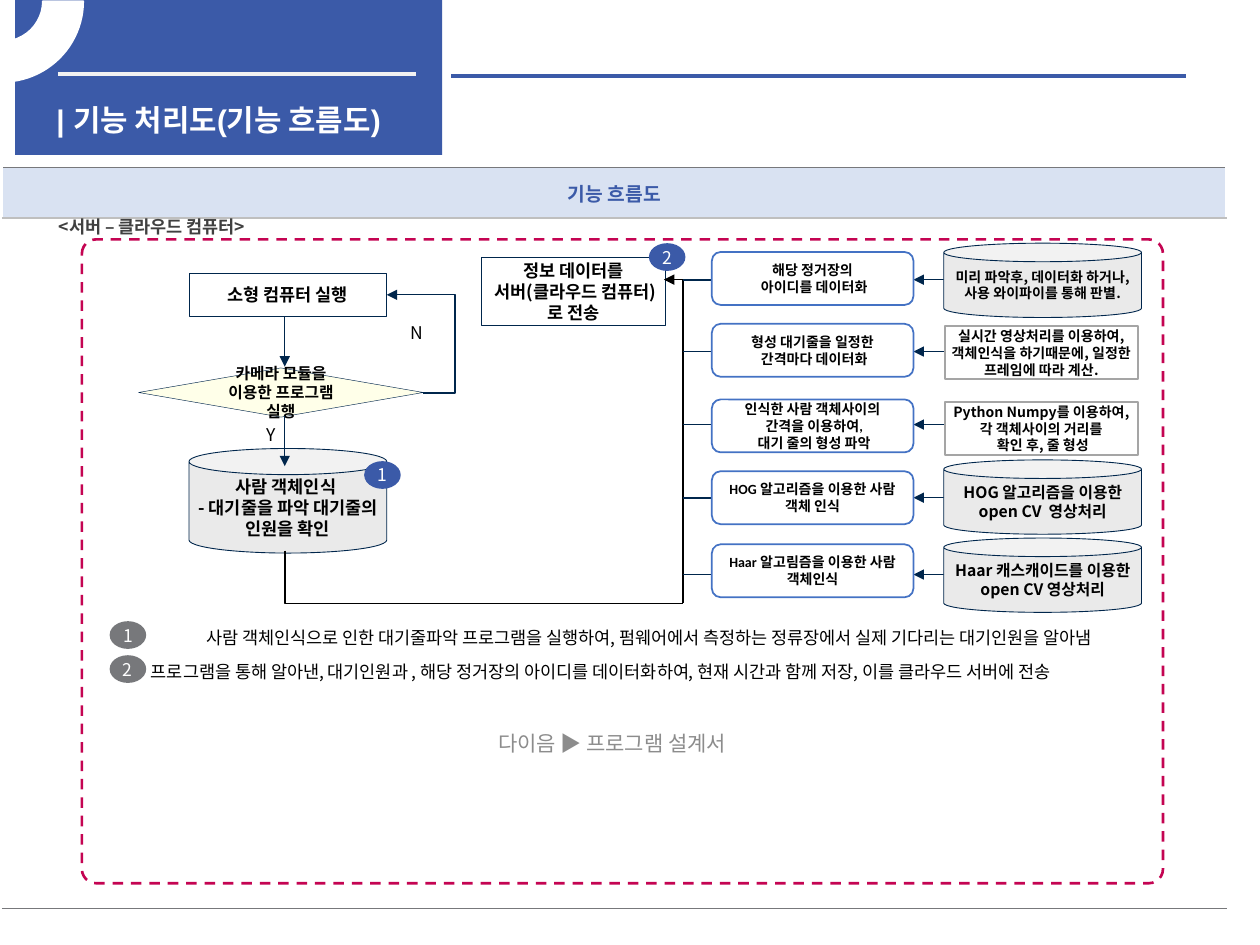
from pptx import Presentation
from pptx.dml.color import RGBColor
from pptx.enum.dml import MSO_LINE
from pptx.enum.shapes import MSO_CONNECTOR as Connector, MSO_SHAPE as Shape
from pptx.enum.text import MSO_ANCHOR as Anchor, PP_ALIGN as Align
from pptx.oxml import parse_xml
from pptx.oxml.ns import nsdecls, qn
from pptx.util import Inches, Pt

NOTO = "Noto Sans CJK KR"
BLUE, NAVY, GRAY = "3B5AA8", "00264C", "77787B"
SMALL = 0.04


def color(value):
    return RGBColor.from_string(value)


def element(tag, attributes="", content=""):
    return parse_xml(f'<a:{tag} {nsdecls("a")} {attributes}>{content}</a:{tag}>')


def write(frame, lines, size, font=NOTO, ink="000000", bold=False, align=Align.CENTER,
          anchor=Anchor.MIDDLE, inset=None, wrap=True, **paragraph_format):
    frame.word_wrap = wrap
    frame.vertical_anchor = anchor
    if inset is not None:
        for side in ("left", "top", "right", "bottom"):
            setattr(frame, f"margin_{side}", Inches(inset))
    for index, line in enumerate(lines):
        paragraph = frame.add_paragraph() if index else frame.paragraphs[0]
        for name, value in {"alignment": align, **paragraph_format}.items():
            setattr(paragraph, name, value)
        run = paragraph.add_run()
        run.text = line
        for name, value in {"name": font, "size": Pt(size), "bold": bold}.items():
            setattr(run.font, name, value)
        run.font.color.rgb = color(ink)
        run.font._element.append(element("ea", f'typeface="{NOTO}"'))


def add_text(slide, box, lines, size, **text_format):
    write(slide.shapes.add_textbox(*map(Inches, box)).text_frame, lines, size, **text_format)


def add_box(slide, kind, box, fill=None, line=None, width=0.5, adjust=()):
    shape = slide.shapes.add_shape(kind, *map(Inches, box))
    shape.shadow.inherit = False
    if fill:
        shape.fill.solid()
        shape.fill.fore_color.rgb = color(fill)
    else:
        shape.fill.background()
    if line:
        shape.line.color.rgb = color(line)
        shape.line.width = Pt(width)
    else:
        shape.line.fill.background()
    for index, value in enumerate(adjust):
        shape.adjustments[index] = value
    return shape


def add_line(slide, start, end, line=NAVY, width=1, arrow=False, bend=None):
    """Arrow marks the end; bend is the elbow's place as a share of the width."""
    kind = Connector.STRAIGHT if bend is None else Connector.ELBOW
    connector = slide.shapes.add_connector(kind, *map(Inches, (*start, *end)))
    connector.line.color.rgb = color(line)
    connector.line.width = Pt(width)
    properties = connector._element.spPr
    if arrow:
        properties.find(qn("a:ln")).append(element("tailEnd", 'type="triangle"'))
    properties.append(element("effectLst"))
    if bend is not None:
        guides = properties.find(qn("a:prstGeom")).get_or_add_avLst()
        guides.append(element("gd", f'name="adj1" fmla="val {round(bend * 100000)}"'))


def add_badge(slide, left, top, number, fill=BLUE, align=Align.CENTER):
    shape = add_box(slide, Shape.OVAL, (left, top, 0.29, 0.22), fill)
    write(shape.text_frame, [number], 10, ink="FFFFFF", align=align, inset=0.06, wrap=False)


def add_header(slide, left, top):
    add_box(slide, Shape.RECTANGLE, (left, top, 3.39, 1.23), BLUE)
    add_line(slide, (left + 0.34, top + 0.59), (left + 3.18, top + 0.59), "F2F2F2", 2.25)
    add_line(slide, (left + 3.46, top + 0.6), (left + 9.29, top + 0.6), BLUE, 2.25)
    add_text(slide, (left + 0.23, top + 0.76, 3.23, 0.3), ["| 기능 처리도(기능 흐름도)"], 17,
             font="Arial", ink="FFFFFF", bold=True, align=Align.LEFT, anchor=Anchor.TOP)
    arc = add_box(slide, Shape.BLOCK_ARC, (left - 0.75, top - 0.63, 1.29, 1.28), "FFFFFF",
                  "FFFFFF", 1, (96.95, 0, 0.25))
    arc._element.spPr.xfrm.set("flipV", "1")


def add_borders(cell, top, bottom):
    properties = cell._tc.get_or_add_tcPr()
    edges = {"lnL": "FFFFFF", "lnR": "FFFFFF", "lnT": top, "lnB": bottom}
    for index, (tag, value) in enumerate(edges.items()):
        fill = f'<a:solidFill><a:srgbClr val="{value}"/></a:solidFill>'
        properties.insert(index, element(tag, 'w="12700"', fill))


def add_frame_table(slide, left, top, width, heights):
    table = slide.shapes.add_table(2, 1, *map(Inches, (left, top, width, sum(heights)))).table
    table.first_row = table.horz_banding = False
    for row, height in zip(table.rows, heights):
        row.height = Inches(height)
    heading, body = table.cell(0, 0), table.cell(1, 0)
    heading.fill.solid()
    heading.fill.fore_color.rgb = color("B4C7E7")
    tint = heading._tc.tcPr.find(".//" + qn("a:srgbClr"))
    tint.append(element("alpha", 'val="50000"'))
    body.fill.background()
    add_borders(heading, GRAY, "BFBFBF")
    add_borders(body, "BFBFBF", GRAY)
    write(heading.text_frame, ["기능 흐름도"], 11, font="Calibri", ink=BLUE, bold=True)
    heading.vertical_anchor = Anchor.MIDDLE


def add_server_area(slide, left, top, width, height):
    add_text(slide, (left - 0.28, top - 0.27, 5.43, 0.28), ["<서버 – 클라우드 컴퓨터>"], 10,
             ink="404040", bold=True, align=Align.LEFT, anchor=Anchor.TOP,
             line_spacing=1.2, space_before=Pt(2))
    area = add_box(slide, Shape.ROUNDED_RECTANGLE, (left, top, width, height), None,
                   "C40452", 1.5, (0.022,))
    area.line.dash_style = MSO_LINE.DASH


def add_camera_flow(slide, left, top):
    middle = left + 1.16
    steps = [
        (Shape.RECTANGLE, (left + 0.4, top, 1.57, 0.34), None, 0.5, 10, SMALL,
         ["소형 컴퓨터 실행"]),
        (Shape.CAN, (left + 0.4, top + 1.39, 1.57, 0.83), "EAEAEA", 0.5, 10, SMALL,
         ["사람 객체인식 ", "- 대기줄을 파악 대기줄의 인원을 확인"]),
        (Shape.FLOWCHART_DECISION, (left, top + 0.75, 2.26, 0.39), "FFFFE9", 0.25, 9, None,
         ["카메라 모듈을 이용한 프로그램 실행"]),
        (Shape.RECTANGLE, (left + 2.72, top - 0.13, 1.46, 0.54), None, 0.5, 10, SMALL,
         ["정보 데이터를", " 서버(클라우드 컴퓨터)로 전송"]),
    ]
    for kind, box, fill, width, size, inset, lines in steps:
        shape = add_box(slide, kind, box, fill, NAVY, width)
        write(shape.text_frame, lines, size, bold=True, inset=inset)
    add_line(slide, (middle, top + 0.35), (middle, top + 0.74), width=0.75, arrow=True)
    add_line(slide, (middle, top + 1.13), (middle, top + 1.53), width=0.75, arrow=True)
    add_line(slide, (left + 2.26, top + 0.95), (left + 1.97, top + 0.17), width=0.75,
             arrow=True, bend=-0.87)
    for letter, x, y, width in (("Y", 0.91, 1.15, 0.28), ("N", 2.05, 0.34, 0.31)):
        add_text(slide, (left + x, top + y, width, 0.27), [letter], 10,
                 anchor=Anchor.TOP, wrap=False)
    corner = (left + 4.32, top + 2.62)
    add_line(slide, (middle, top + 2.2), corner, "000000", bend=0)
    add_line(slide, corner, (left + 4.17, top + 0.05), "000000", arrow=True, bend=0)
    add_badge(slide, left + 1.79, top + 1.49, "1")
    add_badge(slide, left + 4.05, top - 0.24, "2")


def add_data_rows(slide, left, top):
    """Each row: task top, line height, source top, source kind, size, task and source text."""
    rows = [
        (0, 0.22, -0.07, Shape.CAN, 8, ["해당 정거장의", " 아이디를 데이터화"],
         ["미리 파악후, 데이터화 하거나, 사용 와이파이를 통해 판별."]),
        (0.57, 0.79, 0.59, Shape.RECTANGLE, 8, ["형성 대기줄을 일정한", " 간격마다 데이터화"],
         ["실시간 영상처리를 이용하여, 객체인식을 하기때문에, 일정한 프레임에 따라 계산."]),
        (1.17, 1.37, 1.19, Shape.RECTANGLE, 8,
         ["인식한 사람 객체사이의", " 간격을 이용하여,", " 대기 줄의 형성 파악"],
         ["Python Numpy를 이용하여, 각 객체사이의 거리를", " 확인 후, 줄 형성"]),
        (1.74, 1.95, 1.65, Shape.CAN, 9, ["HOG 알고리즘을 이용한 사람 객체 인식"],
         ["HOG 알고리즘을 이용한 open CV  영상처리"]),
        (2.32, 2.56, 2.27, Shape.CAN, 9, ["Haar 알고림즘을 이용한 사람 객체인식"],
         ["Haar 캐스캐이드를 이용한 open CV 영상처리"]),
    ]
    for task_top, line_y, source_top, kind, size, task, source in rows:
        y = top + line_y
        add_line(slide, (left - 0.23, y), (left, y))
        add_line(slide, (left + 1.84, y), (left + 1.6, y), width=0.75, arrow=True)
        shape = add_box(slide, Shape.ROUNDED_RECTANGLE, (left, top + task_top, 1.6, 0.42),
                        "FFFFFF", "4472C4", 1)
        write(shape.text_frame, task, 8, font="Calibri", bold=True)
        if kind == Shape.CAN:
            shape = add_box(slide, kind, (left + 1.84, top + source_top, 1.57, 0.59),
                            "EAEAEA", NAVY)
        else:
            shape = add_box(slide, kind, (left + 1.85, top + source_top, 1.53, 0.42),
                            "FFFFFF", "A5A5A5", 1)
        write(shape.text_frame, source, size, bold=True, inset=SMALL)


def add_notes(slide, left, top):
    notes = [
        (0, 0.22, 8.12, Align.CENTER, "사람 객체인식으로 인한 대기줄파악 프로그램을 실행하여, "
         "펌웨어에서 측정하는 정류장에서 실제 기다리는 대기인원을 알아냄"),
        (0.27, 0.23, 8.27, Align.LEFT, "프로그램을 통해 알아낸, 대기인원과 , 해당 정거장의 "
         "아이디를 데이터화하여, 현재 시간과 함께 저장, 이를 클라우드 서버에 전송"),
    ]
    for number, (y, x, width, align, text) in enumerate(notes, 1):
        add_badge(slide, left, top + y, str(number), GRAY, align)
        add_text(slide, (left + x, top + y - 0.04, width, 0.28), [text], 10, align=align,
                 anchor=Anchor.TOP, wrap=False, line_spacing=1.2, space_before=Pt(2))


def main():
    presentation = Presentation()
    presentation.slide_width, presentation.slide_height = Inches(10), Inches(7.5)
    slide = presentation.slides.add_slide(presentation.slide_layouts[6])
    add_header(slide, 0.12, 0)
    add_text(slide, (2.61, 5.7, 4.5, 0.4), ["다이음 ▶ 프로그램 설계서"], 12,
             font="Calibri", ink="8C8C8C")
    add_frame_table(slide, 0.02, 1.33, 9.71, (0.4, 5.48))
    add_server_area(slide, 0.65, 1.9, 8.58, 5.11)
    add_camera_flow(slide, 1.1, 2.17)
    add_data_rows(slide, 5.65, 2)
    add_notes(slide, 0.87, 4.93)
    presentation.save("out.pptx")


if __name__ == "__main__":
    main()
